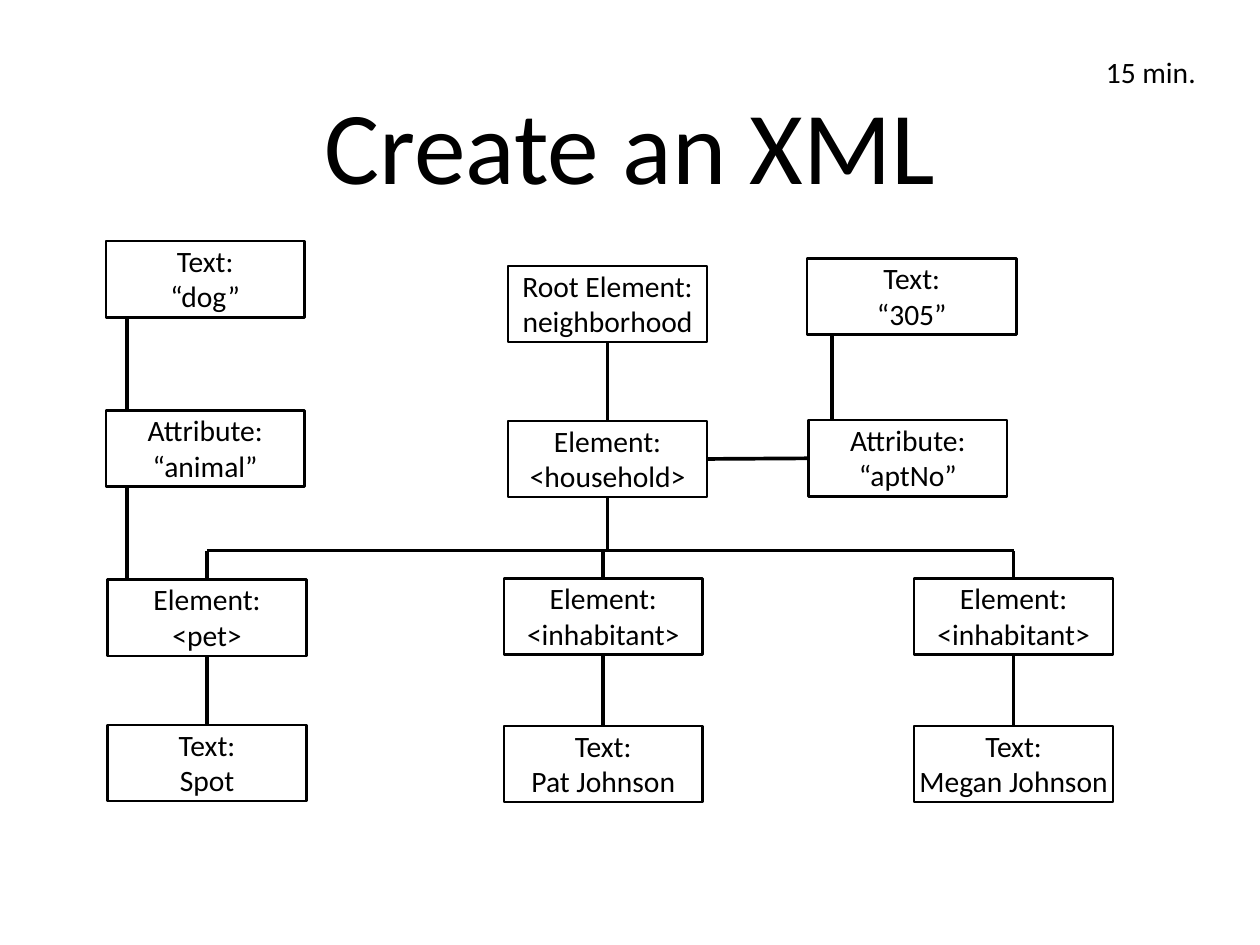
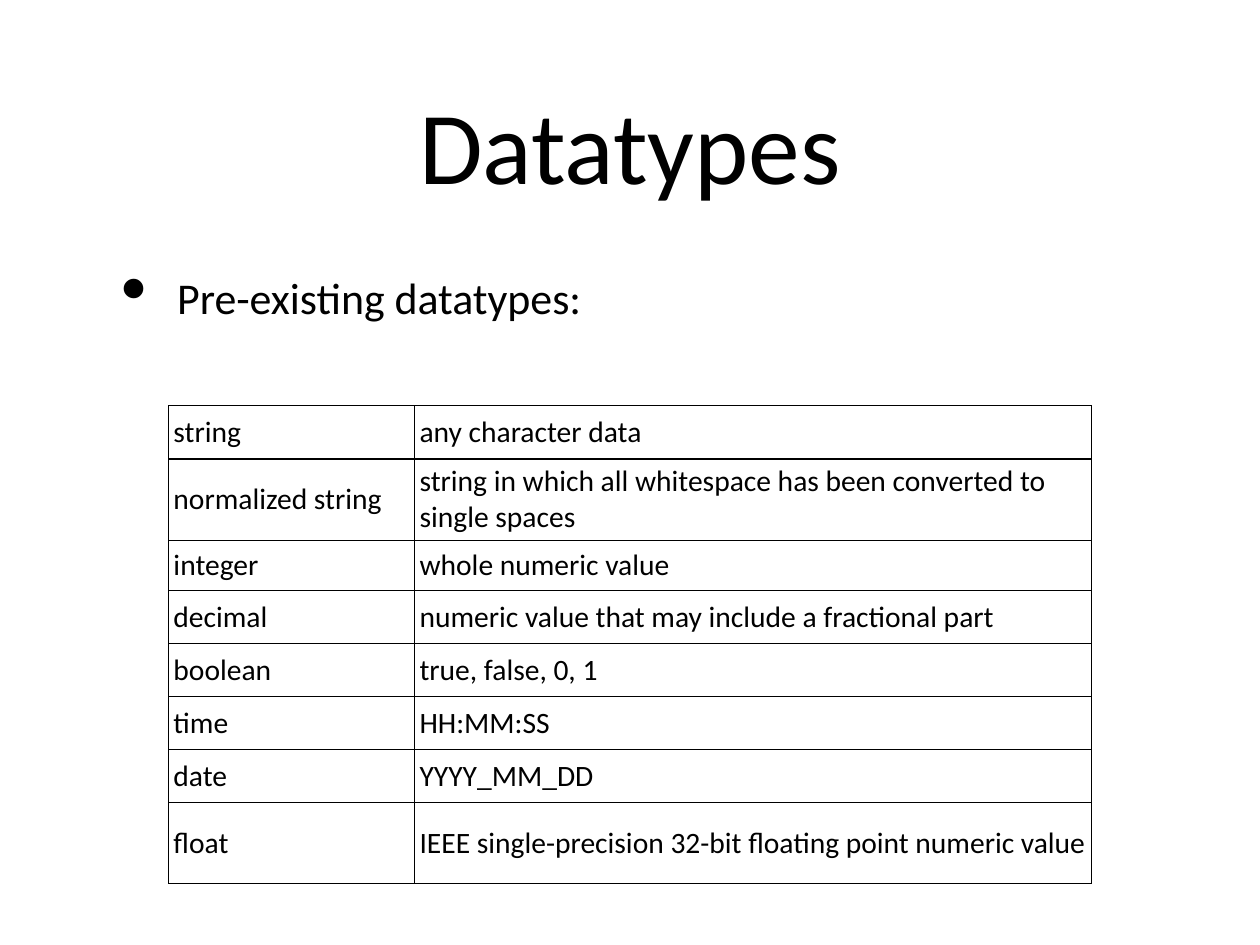
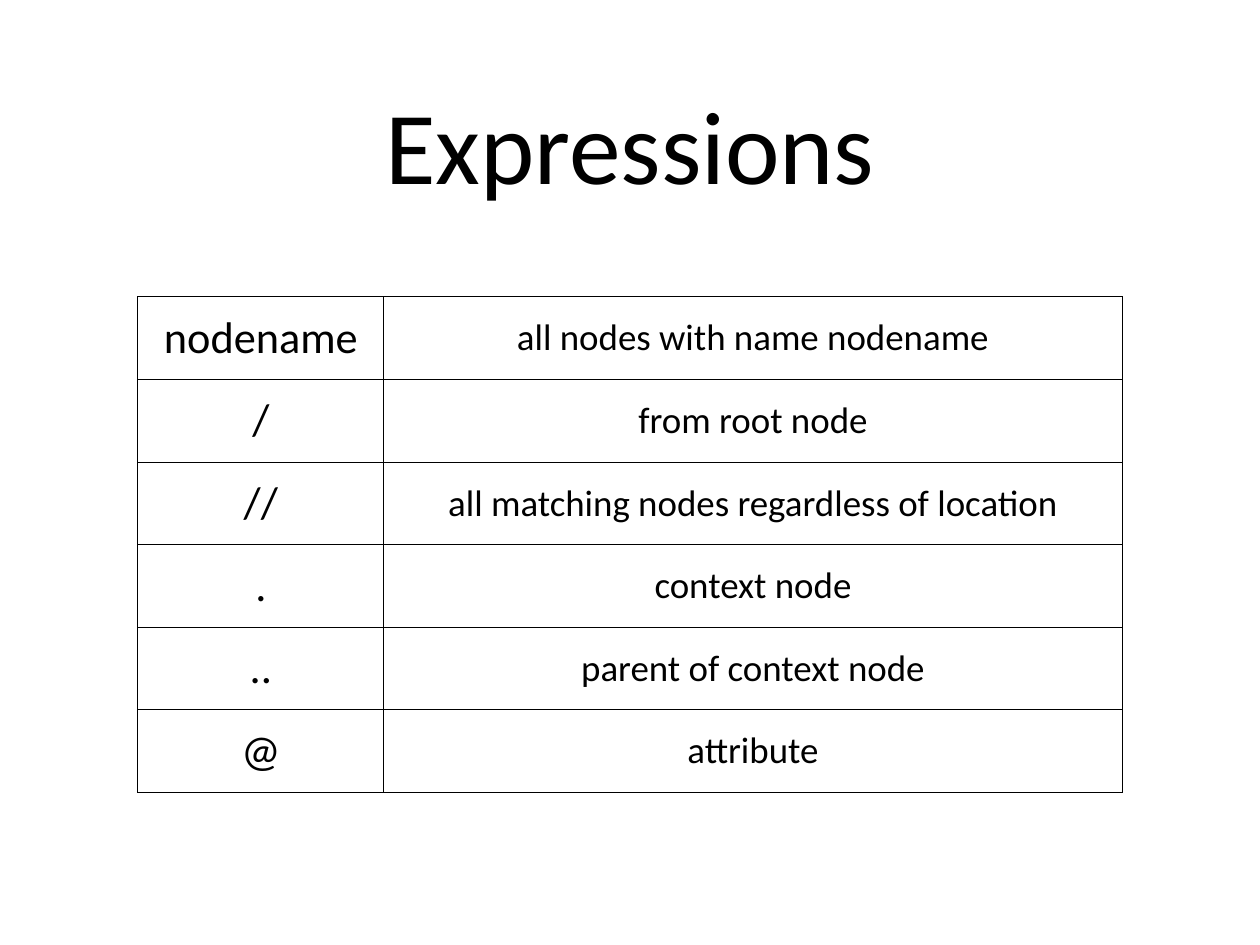
"""Build three XML teaching slides: a node tree, a datatype table and an expression table."""
from lxml.etree import SubElement
from pptx import Presentation
from pptx.dml.color import RGBColor
from pptx.enum.shapes import MSO_CONNECTOR as Link, MSO_SHAPE as Shape
from pptx.enum.text import MSO_ANCHOR as Anchor, PP_ALIGN as Align
from pptx.oxml.ns import qn
from pptx.util import Pt

BLACK = RGBColor(0, 0, 0)
FONT = "Calibri"
SLIDE_SIZE = (1024, 768)
TITLE_AREA = (100, 20, 824, 192)
TITLE_SIZE, LABEL_SIZE = 84, 24
NODE_WIDTH, NODE_HEIGHT = 161.5, 62
NODE_LINE, LINK_LINE, GRID_LINE = 2, 3, 0.96
BRANCH_Y = 447.5
TOP, LEFT, BOTTOM, RIGHT = range(4)

TREE_TITLE = "Create an XML"
DURATION = "15 min."
NODES = {
    "root": (("Root Element:", "neighborhood"), 413, 216),
    "household": (("Element:", "<household>"), 413, 342),
    "apt": (("Attribute:", "“aptNo”"), 657, 341.5),
    "apt value": (("Text:", "“305”"), 656, 210, 170),
    "animal value": (("Text:", "“dog”"), 86, 196),
    "animal": (("Attribute:", "“animal”"), 86, 333.5),
    "pet": (("Element:", "<pet>"), 87.5, 471),
    "pet name": (("Text:", "Spot"), 87.5, 589),
    "pat": (("Element:", "<inhabitant>"), 409.5, 470),
    "pat name": (("Text:", "Pat Johnson"), 409.5, 590),
    "megan": (("Element:", "<inhabitant>"), 743, 470),
    "megan name": (("Text:", "Megan Johnson"), 743, 590),
}
JOINS = [
    ("root", BOTTOM, "household", TOP),
    ("household", RIGHT, "apt", LEFT),
    ("pet", BOTTOM, "pet name", TOP),
    ("pat", BOTTOM, "pat name", TOP),
    ("megan", BOTTOM, "megan name", TOP),
]
SIDE_JOINS = [
    ("animal value", "animal", 103.5),
    ("animal", "pet", 103.5),
    ("apt value", "apt", 676),
]
CHILDREN = ("pet", "pat", "megan")

TYPES_TITLE = "Datatypes"
TYPES_LEAD = "Pre-existing datatypes:"
TYPES = [
    ("string", "any character data"),
    ("normalized string", "string in which all whitespace has been converted to single spaces"),
    ("integer", "whole numeric value"),
    ("decimal", "numeric value that may include a fractional part"),
    ("boolean", "true, false, 0, 1"),
    ("time", "HH:MM:SS"),
    ("date", "YYYY_MM_DD"),
    ("float", "IEEE single-precision 32-bit floating point numeric value"),
]
TYPE_HEIGHTS = (43.2, 66.5, 40.5, 43.1, 43.1, 43.1, 43.1, 65.8)

EXPRESSIONS_TITLE = "Expressions"
EXPRESSIONS = [
    ("nodename", "all nodes with name nodename"),
    ("/", "from root node"),
    ("//", "all matching nodes regardless of location"),
    (".", "context node"),
    ("..", "parent of context node"),
    ("@", "attribute"),
]


def apply(target, **values):
    for key, value in values.items():
        setattr(target, key, value)


def write(frame, lines, size, align):
    for number, line in enumerate(lines):
        paragraph = frame.add_paragraph() if number else frame.paragraphs[0]
        paragraph.alignment = align
        run = paragraph.add_run()
        run.text = line
        apply(run.font, name=FONT, size=Pt(size))
        run.font.color.rgb = BLACK


def set_frame(frame, inset, wrap, bottom=None):
    apply(frame, margin_left=Pt(inset), margin_right=Pt(inset), margin_top=Pt(inset),
          margin_bottom=Pt(inset if bottom is None else bottom),
          word_wrap=wrap, vertical_anchor=Anchor.MIDDLE)


def add_text(slide, area, line, size, align=Align.CENTER, inset=4.5, wrap=True):
    frame = slide.shapes.add_textbox(*map(Pt, area)).text_frame
    set_frame(frame, inset, wrap)
    write(frame, [line], size, align)
    return frame.paragraphs[0]


def add_slide(deck, title):
    slide = deck.slides.add_slide(deck.slide_layouts[6])
    add_text(slide, TITLE_AREA, title, TITLE_SIZE)
    return slide


def add_node(slide, lines, left, top, width=NODE_WIDTH):
    node = slide.shapes.add_shape(Shape.RECTANGLE, *map(Pt, (left, top, width, NODE_HEIGHT)))
    node.shadow.inherit = False
    node.fill.background()
    node.line.color.rgb = BLACK
    node.line.width = Pt(NODE_LINE)
    set_frame(node.text_frame, 0, False, bottom=1.5)
    write(node.text_frame, lines, LABEL_SIZE, Align.CENTER)
    return node


def middle(node, side):
    across, down = {TOP: (1, 0), LEFT: (0, 1), BOTTOM: (1, 2), RIGHT: (2, 1)}[side]
    return node.left + node.width * across // 2, node.top + node.height * down // 2


def add_link(slide, start, end):
    link = slide.shapes.add_connector(Link.STRAIGHT, *start, *end)
    link.line.color.rgb = BLACK
    link.line.width = Pt(LINK_LINE)
    SubElement(link._element.spPr, qn("a:effectLst"))
    return link


def add_bullet(paragraph, indent, hanging, percent):
    properties = paragraph._p.get_or_add_pPr()
    properties.set("marL", str(Pt(indent)))
    properties.set("indent", str(-Pt(hanging)))
    color = SubElement(properties, qn("a:buClr"))
    SubElement(color, qn("a:srgbClr"), val=str(BLACK))
    SubElement(properties, qn("a:buSzPct"), val=str(percent * 1000))
    SubElement(properties, qn("a:buChar"), char="•")


def add_borders(cell):
    properties = cell._tc.get_or_add_tcPr()
    for side in "LRTB":
        border = SubElement(properties, qn(f"a:ln{side}"), w=str(Pt(GRID_LINE)))
        fill = SubElement(border, qn("a:solidFill"))
        SubElement(fill, qn("a:srgbClr"), val=str(BLACK))


def add_grid(slide, rows, left, top, widths, heights, sizes, align):
    area = map(Pt, (left, top, sum(widths), sum(heights)))
    table = slide.shapes.add_table(len(rows), len(widths), *area).table
    apply(table, first_row=False, horz_banding=False)
    for column, width in zip(table.columns, widths):
        column.width = Pt(width)
    for row, height, texts in zip(table.rows, heights, rows):
        row.height = Pt(height)
        for cell, text, size in zip(row.cells, texts, sizes):
            apply(cell, margin_left=Pt(4), margin_right=Pt(4), margin_top=Pt(3.6),
                  margin_bottom=Pt(3.6), vertical_anchor=Anchor.MIDDLE)
            add_borders(cell)
            cell.fill.background()
            write(cell.text_frame, [text], size, align)


def build_tree(deck):
    slide = add_slide(deck, TREE_TITLE)
    add_text(slide, (893.5, 44, 83.5, 29), DURATION, LABEL_SIZE, inset=0, wrap=False)
    nodes = {key: add_node(slide, *node) for key, node in NODES.items()}

    for parent, out, child, into in JOINS:
        link = add_link(slide, middle(nodes[parent], out), middle(nodes[child], into))
        link.begin_connect(nodes[parent], out)
        link.end_connect(nodes[child], into)

    for upper, lower, x in SIDE_JOINS:
        bottom = nodes[upper].top + nodes[upper].height
        add_link(slide, (Pt(x), bottom), (Pt(x), nodes[lower].top))

    branch = Pt(BRANCH_Y)
    trunk = middle(nodes["household"], BOTTOM)
    add_link(slide, trunk, (trunk[0], branch)).begin_connect(nodes["household"], BOTTOM)
    tops = [middle(nodes[child], TOP) for child in CHILDREN]
    add_link(slide, (tops[0][0], branch), (tops[-1][0], branch))
    for child, top in zip(CHILDREN, tops):
        add_link(slide, (top[0], branch), top).end_connect(nodes[child], TOP)


def build_types(deck):
    slide = add_slide(deck, TYPES_TITLE)
    lead = add_text(slide, (69.5, 193.5, 467, 96), TYPES_LEAD, 35.7, Align.LEFT)
    add_bullet(lead, 70, 45, 171)
    add_grid(slide, TYPES, 137, 329.8, (200, 550), TYPE_HEIGHTS,
             (LABEL_SIZE, LABEL_SIZE), Align.LEFT)


def build_expressions(deck):
    slide = add_slide(deck, EXPRESSIONS_TITLE)
    add_grid(slide, EXPRESSIONS, 112, 241.3, (200, 600), [67.15] * len(EXPRESSIONS),
             (36, 30), Align.CENTER)


def main():
    deck = Presentation()
    deck.slide_width, deck.slide_height = map(Pt, SLIDE_SIZE)
    for build in (build_tree, build_types, build_expressions):
        build(deck)
    deck.save("out.pptx")


if __name__ == "__main__":
    main()
